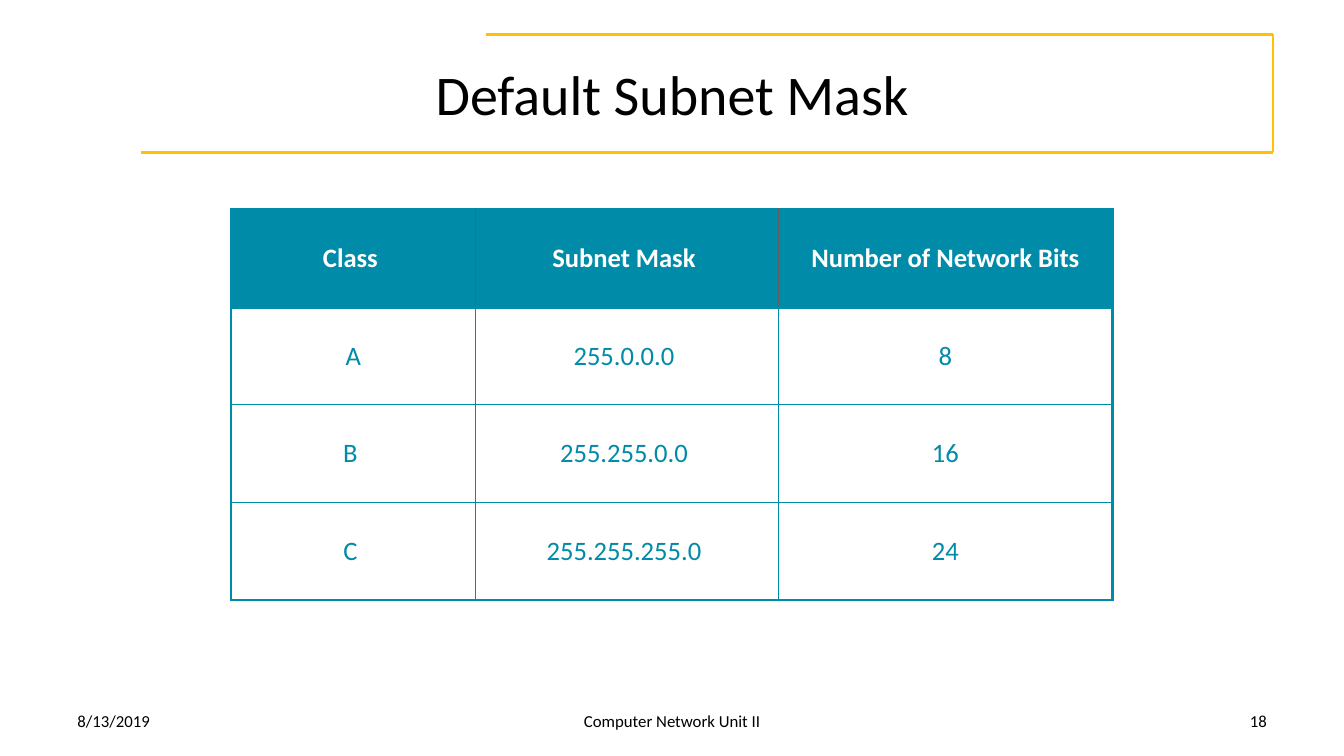
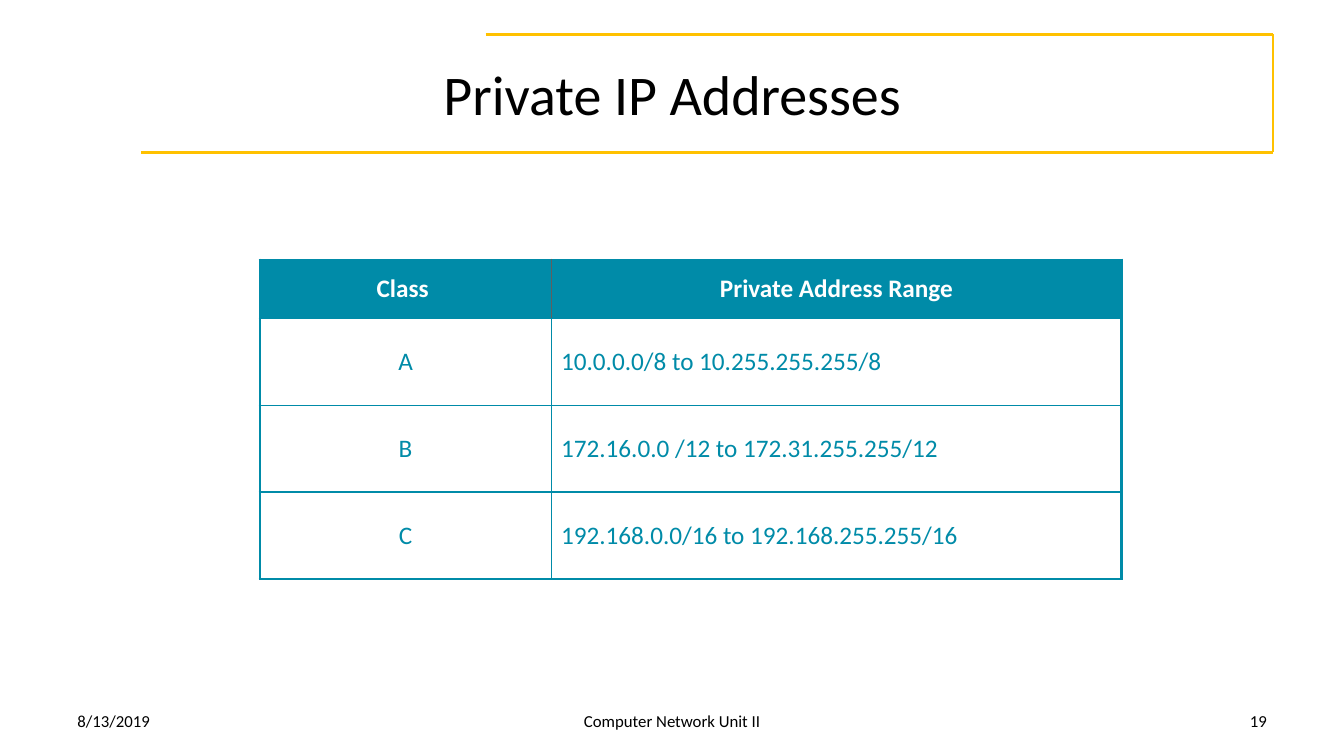
from lxml import etree
from pptx import Presentation
from pptx.dml.color import RGBColor
from pptx.enum.shapes import MSO_CONNECTOR
from pptx.enum.text import MSO_ANCHOR, PP_ALIGN
from pptx.oxml.ns import qn
from pptx.util import Cm, Pt

LEFT, CENTER, RIGHT = PP_ALIGN.LEFT, PP_ALIGN.CENTER, PP_ALIGN.RIGHT
MIDDLE = MSO_ANCHOR.MIDDLE
STRAIGHT = MSO_CONNECTOR.STRAIGHT

FONT = "Calibri"
BLACK, WHITE = "000000", "FFFFFF"
TEAL, GOLD, GREY = "008BA8", "FFC100", "5F5F5F"
THICK, THIN = 2.25, 1


def color(value):
    return RGBColor.from_string(value)


def write(tf, text, size=12, fill=BLACK, bold=False, align=LEFT):
    """Put one formatted paragraph into a text frame."""
    tf.word_wrap = True
    p = tf.paragraphs[0]
    p.alignment = align
    r = p.add_run()
    r.text = text
    r.font.name, r.font.size, r.font.bold = FONT, Pt(size), bold
    r.font.color.rgb = color(fill)


def add_text(slide, text, box, **fmt):
    sp = slide.shapes.add_textbox(*map(Cm, box))
    sp.text_frame.vertical_anchor = MIDDLE
    write(sp.text_frame, text, **fmt)


def add_line(slide, start, end):
    line = slide.shapes.add_connector(STRAIGHT, *map(Cm, start + end))
    line.line.color.rgb = color(GOLD)
    line.line.width = Pt(2)
    etree.SubElement(line._element.spPr, qn("a:effectLst"))


def add_title(slide, text, box):
    """Title with an open gold frame inside the box."""
    x, y, w, h = box
    right, top, bottom = x + w - 0.1, y + 0.1, y + h - 0.1
    corners = [(x + 10.54, top), (right, top), (right, bottom), (x + 1.86, bottom)]
    for start, end in zip(corners, corners[1:]):
        add_line(slide, start, end)
    add_text(slide, text, box, size=40, align=CENTER)


def add_footer(slide, number, box):
    """Date, course name and slide number across the box."""
    x, y, w, h = box
    side, middle = 7.9, 10.72
    add_text(slide, "8/13/2019", (x, y, side, h))
    add_text(slide, "Computer Network Unit II",
             (x + (w - middle) / 2, y, middle, h), align=CENTER)
    add_text(slide, str(number), (x + w - side, y, side, h), align=RIGHT)


def set_borders(cell, borders):
    """Borders are (colour, width) pairs in the order left, right, top, bottom."""
    tcPr = cell._tc.get_or_add_tcPr()
    for i, (side, (value, width)) in enumerate(zip("LRTB", borders)):
        ln = etree.Element(qn(f"a:ln{side}"), w=str(Pt(width)))
        fill = etree.SubElement(ln, qn("a:solidFill"))
        etree.SubElement(fill, qn("a:srgbClr"), val=value)
        tcPr.insert(i, ln)


def add_grid(slide, rows, origin, widths, heights, size, aligns, margins, header_rule):
    """Table with a teal header, a thick outline and thin inner rules."""
    last_row, last_col = len(rows) - 1, len(widths) - 1
    x, y = origin
    table = slide.shapes.add_table(
        len(rows), len(widths), Cm(x), Cm(y), Cm(sum(widths)), Cm(sum(heights))).table
    table.first_row = table.horz_banding = False
    for column, width in zip(table.columns, widths):
        column.width = Cm(width)
    for row, height in zip(table.rows, heights):
        row.height = Cm(height)

    for i, values in enumerate(rows):
        header = i == 0
        inner = (GREY if header else TEAL, THIN)
        outer = (TEAL, THICK)
        rule = (TEAL, header_rule)
        for j, text in enumerate(values):
            cell = table.cell(i, j)
            cell.vertical_anchor = MIDDLE
            cell.margin_left = cell.margin_right = Cm(margins[0])
            cell.margin_top = cell.margin_bottom = Cm(margins[1])
            if header:
                cell.fill.solid()
                cell.fill.fore_color.rgb = color(TEAL)
            else:
                cell.fill.background()
            write(cell.text_frame, text, size=size, bold=header,
                  fill=WHITE if header else TEAL,
                  align=CENTER if header else aligns[j])
            top = outer if header else rule if i == 1 else inner
            bottom = rule if header else outer if i == last_row else inner
            set_borders(cell, [outer if j == 0 else inner,
                               outer if j == last_col else inner, top, bottom])


def add_table_slide(prs, number, title, rows, **grid):
    slide = prs.slides.add_slide(prs.slide_layouts[6])
    add_title(slide, title, (1.7, 0.76, 30.48, 3.18))
    add_footer(slide, number, (1.7, 17.65, 30.48, 1.02))
    add_grid(slide, rows, **grid)


def main():
    prs = Presentation()
    prs.slide_width, prs.slide_height = Cm(33.87), Cm(19.05)

    # Default masks
    add_table_slide(
        prs, 18, "Default Subnet Mask",
        [("Class ", "Subnet Mask ", "Number of Network Bits"),
         ("A", "255.0.0.0 ", "8"),
         ("B ", "255.255.0.0 ", "16"),
         ("C ", "255.255.255.0 ", "24")],
        origin=(5.82, 5.28), widths=[6.17, 7.62, 8.43], heights=[2.46] * 4,
        size=19, aligns=[CENTER] * 3, margins=(0.2, 0), header_rule=THICK)

    # Private ranges
    add_table_slide(
        prs, 19, "Private IP Addresses",
        [("Class ", "Private Address Range"),
         ("A", "10.0.0.0/8 to 10.255.255.255/8"),
         ("B", "172.16.0.0 /12 to 172.31.255.255/12"),
         ("C", "192.168.0.0/16 to 192.168.255.255/16")],
        origin=(6.55, 6.55), widths=[7.34, 14.38], heights=[1.47] + [2.19] * 3,
        size=18, aligns=[CENTER, LEFT], margins=(0.25, 0.13), header_rule=THIN)

    prs.save("out.pptx")


if __name__ == "__main__":
    main()
